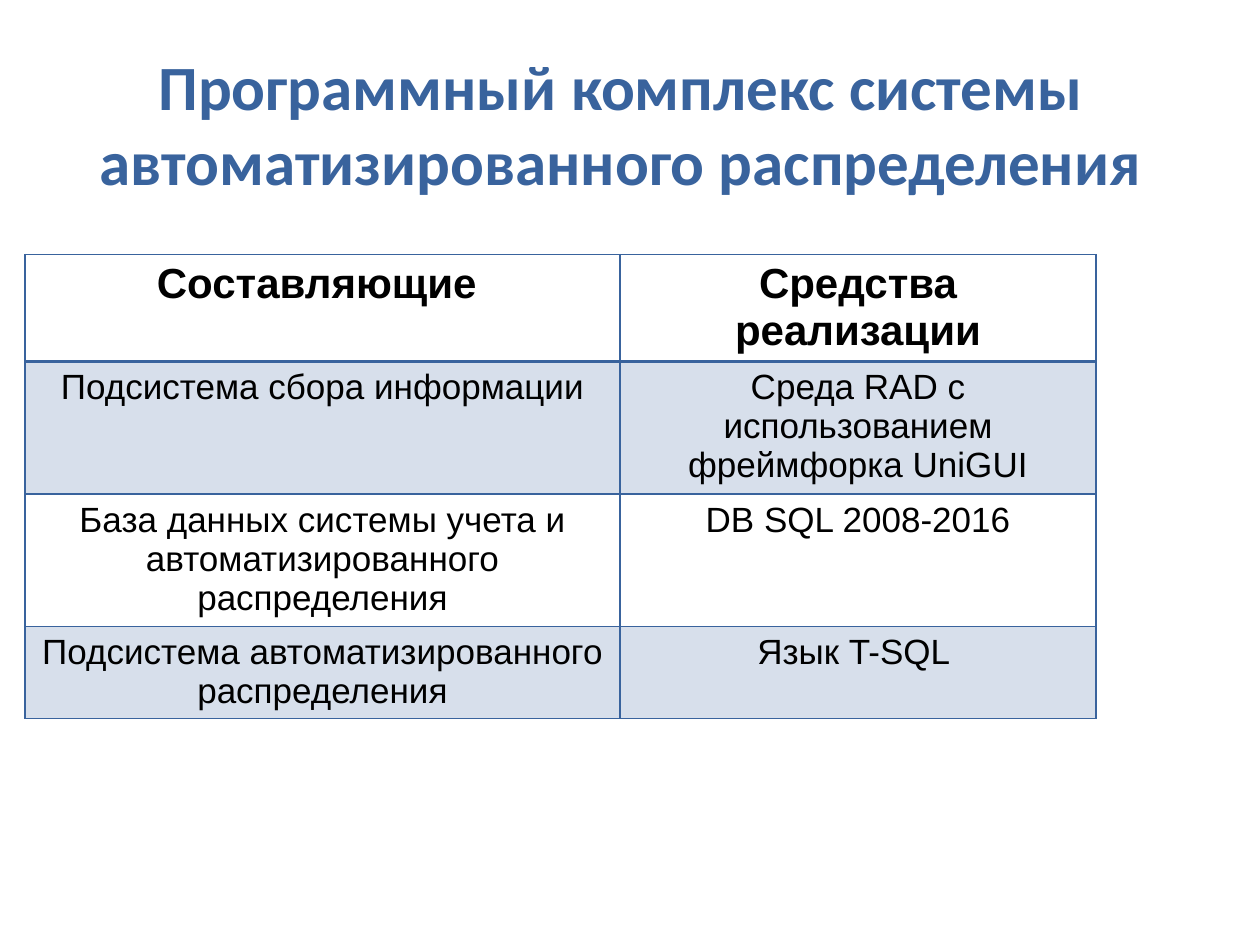
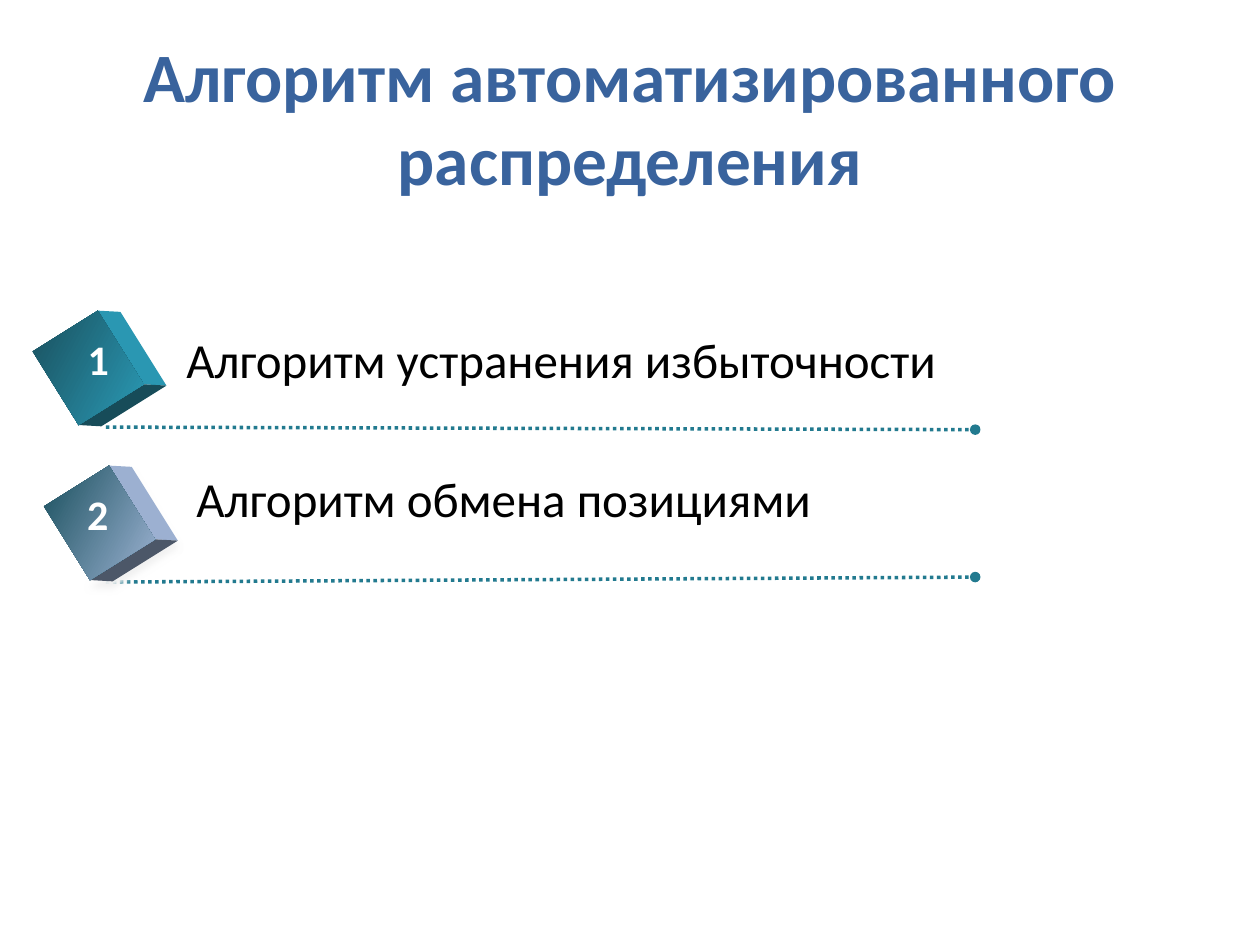
from math import cos, radians, sin

from lxml.etree import SubElement
from pptx import Presentation
from pptx.dml.color import RGBColor
from pptx.enum.dml import MSO_LINE
from pptx.enum.shapes import MSO_CONNECTOR, MSO_SHAPE
from pptx.enum.text import MSO_ANCHOR, PP_ALIGN
from pptx.oxml import parse_xml
from pptx.oxml.ns import nsdecls, qn
from pptx.util import Inches, Pt

# Content
TITLES = [
    ("Программный комплекс системы автоматизированного распределения",
     (0.43, 0.36, 8.99, 1.23), 36),
    ("Алгоритм автоматизированного распределения",
     (0.5, 0.3, 9, 1.25), 39.6),
]
ROWS = [
    ("Составляющие ", "Средства реализации"),
    ("Подсистема сбора информации",
     "Среда RAD с использованием фреймфорка UniGUI"),
    ("База данных системы учета и автоматизированного распределения",
     "DB SQL 2008-2016"),
    ("Подсистема автоматизированного распределения", "Язык T-SQL "),
]
COLS = (4.72, 3.78)
ROW_H = 0.73

# Colours
BLUE = RGBColor(0x39, 0x63, 0x9D)
BAND = RGBColor(0xD7, 0xDF, 0xEB)
BLACK = RGBColor(0, 0, 0)
WHITE = RGBColor(0xFF, 0xFF, 0xFF)
TEAL = RGBColor(0x22, 0x7A, 0x8F)
DEEP = RGBColor(0x1A, 0x50, 0x5E)

# Each step: label and its box, number box, cube centre, line ends,
# face, side and base colours, shadow
STEPS = [
    dict(text="Алгоритм устранения избыточности", box=(1.38, 2.57, 7.38, 0.77),
         num=(0.55, 2.6, 0.46, 0.67), mid=(0.7, 2.92),
         line=(0.84, 3.39, 7.74, 3.41), face=RGBColor(0x2A, 0x9A, 0xB5),
         side=RGBColor(0x2A, 0x97, 0xB2), base=RGBColor(0x17, 0x4C, 0x59),
         shade=False),
    dict(text="Алгоритм обмена позициями", box=(1.46, 3.67, 6.09, 0.77),
         num=(0.59, 3.83, 0.37, 0.5), mid=(0.79, 4.15),
         line=(0.84, 4.62, 7.74, 4.58), face=RGBColor(0x9C, 0xB2, 0xD2),
         side=RGBColor(0x9C, 0xB0, 0xD1), base=RGBColor(0x4C, 0x57, 0x68),
         shade=True),
]
CUBE_W, CUBE_H, TURN = 0.69, 0.61, 58
DEPTH = (0.18, 0.01)


def style(para, size, color, bold=False, align=PP_ALIGN.CENTER, font="Calibri"):
    para.alignment = align
    for run in para.runs:
        run.font.name = font
        run.font.size = Pt(size)
        run.font.bold = bold
        run.font.color.rgb = color


def add_text(slide, text, box, size, color, **look):
    frame = slide.shapes.add_textbox(*map(Inches, box)).text_frame
    frame.word_wrap = True
    frame.text = text
    style(frame.paragraphs[0], size, color, **look)
    return frame


def add_slide(deck, title):
    slide = deck.slides.add_slide(deck.slide_layouts[6])
    text, box, size = title
    frame = add_text(slide, text, box, size, BLUE, bold=True)
    frame.vertical_anchor = MSO_ANCHOR.MIDDLE
    return slide


def set_edges(cell, top, base):
    props = cell._tc.get_or_add_tcPr()
    edges = (("lnL", 1), ("lnR", 1), ("lnT", top), ("lnB", base))
    for spot, (tag, width) in enumerate(edges):
        props.insert(spot, parse_xml(
            f'<a:{tag} {nsdecls("a")} w="{Pt(width)}"><a:solidFill>'
            f'<a:srgbClr val="{BLUE}"/></a:solidFill></a:{tag}>'))


def add_grid(slide):
    table = slide.shapes.add_table(
        len(ROWS), len(COLS), Inches(0.2), Inches(2.02),
        Inches(sum(COLS)), Inches(ROW_H * len(ROWS))).table
    table.first_row = table.horz_banding = False
    for col, width in zip(table.columns, COLS):
        col.width = Inches(width)
    for r, texts in enumerate(ROWS):
        table.rows[r].height = Inches(ROW_H)
        for c, text in enumerate(texts):
            cell = table.cell(r, c)
            cell.text = text
            cell.margin_bottom = 0
            style(cell.text_frame.paragraphs[0], 20 if r else 24, BLACK,
                  bold=r == 0, font="Arial")
            if r % 2:
                cell.fill.solid()
                cell.fill.fore_color.rgb = BAND
            else:
                cell.fill.background()
            set_edges(cell, 2 if r == 1 else 1, 1 if r else 2)


def add_side(slide, start, end, color, shade):
    # A cube side runs from one front edge back by the depth
    dx, dy = DEPTH
    points = [start, end, (end[0] + dx, end[1] + dy),
              (start[0] + dx, start[1] + dy)]
    points = [(Inches(x), Inches(y)) for x, y in points]
    build = slide.shapes.build_freeform(*points[0])
    build.add_line_segments(points[1:])
    side = build.convert_to_shape()
    side.shadow.inherit = False
    side.fill.solid()
    side.fill.fore_color.rgb = color
    side.line.fill.background()
    if shade:
        side._element.spPr.find(qn("a:effectLst")).append(parse_xml(
            f'<a:outerShdw {nsdecls("a")} blurRad="{Pt(4)}" dist="{Pt(4)}" '
            'dir="5400000"><a:srgbClr val="F2F2F2"/></a:outerShdw>'))


def add_cube(slide, step):
    x, y = step["mid"]
    c, s = cos(radians(TURN)), sin(radians(TURN))

    def corner(u, v):
        u, v = u * CUBE_W / 2, v * CUBE_H / 2
        return x + u * c - v * s, y + u * s + v * c

    top, right, low = corner(-1, -1), corner(1, -1), corner(1, 1)
    add_side(slide, top, right, step["side"], step["shade"])
    add_side(slide, right, low, step["base"], step["shade"])
    face = slide.shapes.add_shape(
        MSO_SHAPE.RECTANGLE, Inches(x - CUBE_W / 2), Inches(y - CUBE_H / 2),
        Inches(CUBE_W), Inches(CUBE_H))
    face.rotation = TURN
    face.shadow.inherit = False
    face.line.fill.background()
    face.fill.gradient()
    face.fill.gradient_angle = 30
    for stop, color in zip(face.fill.gradient_stops, (DEEP, step["face"])):
        stop.color.rgb = color


def add_rule(slide, ends):
    rule = slide.shapes.add_connector(MSO_CONNECTOR.STRAIGHT, *map(Inches, ends))
    rule.line.color.rgb = TEAL
    rule.line.width = Pt(2)
    rule.line.dash_style = MSO_LINE.ROUND_DOT
    SubElement(rule.line._get_or_add_ln(), qn("a:tailEnd"), type="oval")
    SubElement(rule._element.spPr, qn("a:effectLst"))


def main():
    deck = Presentation()
    deck.slide_width, deck.slide_height = Inches(10), Inches(7.5)

    # Components table
    add_grid(add_slide(deck, TITLES[0]))

    # Numbered steps
    slide = add_slide(deck, TITLES[1])
    for num, step in enumerate(STEPS, 1):
        add_rule(slide, step["line"])
        add_cube(slide, step)
        frame = add_text(slide, str(num), step["num"], 24, WHITE, bold=True)
        frame.margin_left = frame.margin_right = 0
        add_text(slide, step["text"], step["box"], 28, BLACK,
                 align=PP_ALIGN.LEFT)
    deck.save("out.pptx")


if __name__ == "__main__":
    main()
